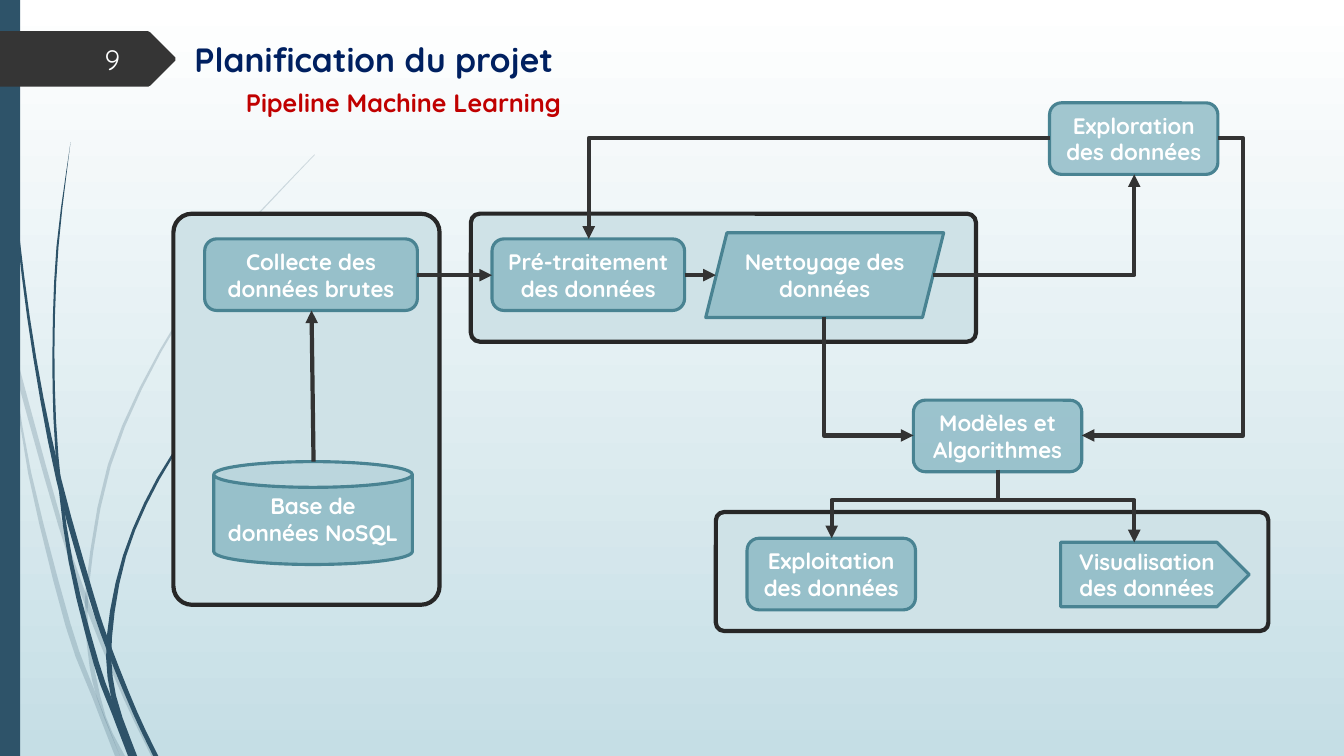
"""Builds the project planning slide with its machine learning pipeline."""
from dataclasses import dataclass

from lxml import etree
from pptx import Presentation
from pptx.dml.color import RGBColor
from pptx.enum import shapes, text
from pptx.oxml.ns import qn
from pptx.util import Inches, Pt


@dataclass(frozen=True)
class Theme:
    """Colours, font and sizes of the slide."""
    font: str = "Quicksand"
    sky: str = "FFFFFF"
    mist: str = "C5DEE5"
    stem: str = "2E5369"
    tag: str = "353535"
    group: str = "CFE2E7"
    group_edge: str = "272727"
    step: str = "86B6C2"
    step_edge: str = "498392"
    arrow: str = "333333"
    title: str = "002060"
    subtitle: str = "C00000"
    light: str = "FFFFFF"
    number: str = "FEFFFF"
    title_size: int = 24
    number_size: int = 20
    subtitle_size: int = 18
    step_size: int = 16
    heavy: float = 3
    thin: float = 2.25


THEME = Theme()
CURVE_STEPS = 3
ROUNDED = shapes.MSO_SHAPE.ROUNDED_RECTANGLE

PALE_STEMS = (
    (((0, 2.99), (0.1, 3.44), (0.17, 3.76), (0.58, 5.22), (0.88, 6.1), (1.23, 6.94), (1.5, 7.5)),
     ((0, 2.82), (0.09, 3.22), (0.14, 3.45), (0.62, 5.2), (0.92, 6.07), (1.27, 6.92), (1.55, 7.5))),
    (((0.11, 3.5), (0.28, 4.7), (0.65, 6.21), (0.92, 6.93), (1.14, 7.5)),
     ((0.11, 3.5), (0.31, 4.69), (0.7, 6.19), (0.93, 6.83), (1.19, 7.5))),
    (((3.12, 1.53), (2.28, 2.44), (1.58, 3.48), (1.07, 4.61), (0.85, 5.84), (0.87, 6.46), (0.96, 6.92), (1.19, 7.5)),
     ((3.12, 1.54), (2.29, 2.45), (1.6, 3.49), (1.1, 4.62), (0.88, 5.84), (0.91, 6.46), (1.05, 7.11), (1.24, 7.5))),
)
DARK_STEMS = (
    (((0.03, 0), (0.07, 1.1), (0.17, 2.33), (0.33, 3.55), (0.56, 4.77), (0.88, 5.92), (1.06, 6.45), (1.32, 7.08),
      (1.52, 7.5)),
     ((0.04, 0), (0.08, 1.09), (0.19, 2.32), (0.36, 3.55), (0.6, 4.72), (0.93, 5.9), (1.1, 6.41), (1.36, 7.06),
      (1.57, 7.5))),
    (((0.7, 1.41), (0.56, 2.45), (0.52, 3.49), (0.55, 4.49), (0.68, 5.57), (0.93, 6.59), (1.11, 7.08), (1.27, 7.5)),
     ((0.7, 1.41), (0.58, 2.45), (0.54, 3.49), (0.58, 4.53), (0.72, 5.56), (0.98, 6.57), (1.16, 7.06), (1.33, 7.5))),
    (((2.6, 3.44), (2.04, 4.05), (1.56, 4.74), (1.22, 5.51), (1.06, 6.31), (1.1, 6.91), (1.31, 7.5)),
     ((2.61, 3.44), (2.05, 4.06), (1.58, 4.76), (1.25, 5.52), (1.11, 6.33), (1.15, 6.9), (1.36, 7.5))),
)
GROUPS = ((7.1, 5.08, 5.48, 1.18), (1.72, 2.12, 2.64, 3.88), (4.67, 2.12, 5.01, 1.27))
STEPS = (
    ("Base de données NoSQL", shapes.MSO_SHAPE.CAN, (2.12, 4.58, 1.97, 1.02)),
    ("Collecte des données brutes", ROUNDED, (2.03, 2.37, 2.11, 0.71)),
    ("Pré-traitement des données", ROUNDED, (4.88, 2.37, 1.91, 0.71)),
    ("Nettoyage des données", shapes.MSO_SHAPE.PARALLELOGRAM, (7, 2.31, 2.36, 0.84)),
    ("Exploration des données", ROUNDED, (10.41, 1.02, 1.67, 0.71)),
    ("Exploitation des données", ROUNDED, (7.41, 5.34, 1.67, 0.71)),
    ("Modèles et Algorithmes", ROUNDED, (9.06, 3.97, 1.67, 0.71)),
    ("Visualisation des données", shapes.MSO_SHAPE.PENTAGON, (10.52, 5.38, 1.87, 0.64)),
)
STRAIGHT_ARROWS = ((3.11, 4.58, 3.09, 3.08), (4.14, 2.73, 4.88, 2.73), (6.79, 2.73, 7.1, 2.73))
CORNER_ARROWS = ((9.25, 2.73, 11.25, 1.73), (10.41, 1.37, 5.84, 2.37),
                 (9.92, 4.96, 8.25, 5.34), (9.92, 4.96, 11.25, 5.38))


def paint(shape, fill, opacity=100, edge=None, width=0):
    """Set the fill, its opacity and the outline of a shape."""
    shape.shadow.inherit = False
    shape.fill.solid()
    shape.fill.fore_color.rgb = RGBColor.from_string(fill)
    if opacity < 100:
        colour = shape._element.spPr.find(qn("a:solidFill"))[0]
        etree.SubElement(colour, qn("a:alpha"), val=str(opacity * 1000))
    if edge:
        shape.line.color.rgb = RGBColor.from_string(edge)
        shape.line.width = Pt(width)
    else:
        shape.line.fill.background()


def write(shape, words, size, colour, bold=True, align=text.PP_ALIGN.LEFT, anchor=text.MSO_ANCHOR.MIDDLE):
    """Put one styled paragraph into a shape."""
    frame = shape.text_frame
    frame.word_wrap = True
    frame.vertical_anchor = anchor
    paragraph = frame.paragraphs[0]
    paragraph.text = words
    paragraph.alignment = align
    font = paragraph.font
    font.name, font.size, font.bold = THEME.font, Pt(size), bold
    font.color.rgb = RGBColor.from_string(colour)


def add_label(slide, words, box, size, colour, **style):
    """Add a text box."""
    write(slide.shapes.add_textbox(*map(Inches, box)), words, size, colour, **style)


def add_preset(slide, kind, box, *style):
    """Add a painted preset shape."""
    shape = slide.shapes.add_shape(kind, *map(Inches, box))
    paint(shape, *style)
    return shape


def add_outline(slide, points, fill, opacity=100):
    """Add a closed outline through points in inches."""
    corners = [(Inches(x), Inches(y)) for x, y in points]
    builder = slide.shapes.build_freeform(*corners[0], scale=1)
    builder.add_line_segments(corners[1:])
    paint(builder.convert_to_shape(), fill, opacity)


def smooth(knots):
    """Return points on a soft curve through the knots."""
    padded = (knots[0], *knots, knots[-1])
    points = [knots[0]]
    for first in range(len(knots) - 1):
        for step in range(1, CURVE_STEPS + 1):
            t = step / CURVE_STEPS
            weights = (-t + 2 * t ** 2 - t ** 3, 2 - 5 * t ** 2 + 3 * t ** 3,
                       t + 4 * t ** 2 - 3 * t ** 3, t ** 3 - t ** 2)
            span = padded[first:first + 4]
            points.append(tuple(sum(w * knot[axis] for w, knot in zip(weights, span)) / 2 for axis in (0, 1)))
    return points


def add_link(slide, ends, preset="line", bend=None, head=True):
    """Add a connector, with an optional bend ratio and arrowhead."""
    connector = slide.shapes.add_connector(shapes.MSO_CONNECTOR.STRAIGHT, *map(Inches, ends))
    connector.line.color.rgb = RGBColor.from_string(THEME.arrow)
    connector.line.width = Pt(THEME.heavy)
    properties = connector._element.spPr
    geometry = properties.find(qn("a:prstGeom"))
    geometry.set("prst", preset)
    if bend is not None:
        guides = geometry.find(qn("a:avLst"))
        etree.SubElement(guides, qn("a:gd"), name="adj1", fmla=f"val {round(bend * 100000)}")
    if head:
        etree.SubElement(properties.find(qn("a:ln")), qn("a:tailEnd"), type="triangle")
    etree.SubElement(properties, qn("a:effectLst"))
    return connector


def add_down_right_link(slide, left, top, right, bottom):
    """Add an arrow that goes down and then right, as a turned corner."""
    x, y = (left + right) / 2, (top + bottom) / 2
    half_run, half_drop = (right - left) / 2, (bottom - top) / 2
    ends = (x + half_drop, y - half_run, x - half_drop, y + half_run)
    connector = add_link(slide, ends, "bentConnector2")
    connector._element.spPr.find(qn("a:xfrm")).set("rot", str(270 * 60000))


def add_backdrop(slide):
    """Add the gradient, the stems, the side bar and the number tag."""
    fill = slide.background.fill
    fill.gradient()
    fill.gradient_angle = 270
    for stop, colour in zip(fill.gradient_stops, (THEME.sky, THEME.mist)):
        stop.color.rgb = RGBColor.from_string(colour)
    for stems, opacity in ((PALE_STEMS, 20), (DARK_STEMS, 100)):
        for outer, inner in stems:
            add_outline(slide, smooth(outer) + smooth(inner)[::-1], THEME.stem, opacity)
    add_preset(slide, shapes.MSO_SHAPE.RECTANGLE, (0, 0, 0.2, 7.5), THEME.stem)
    add_outline(slide, ((0, 0.31), (1.47, 0.31), (1.49, 0.32), (1.74, 0.57), (1.74, 0.6),
                        (1.49, 0.85), (1.47, 0.86), (0, 0.86)), THEME.tag)


def main():
    """Build and save the slide."""
    presentation = Presentation()
    presentation.slide_width, presentation.slide_height = Inches(13.33), Inches(7.5)
    slide = presentation.slides.add_slide(presentation.slide_layouts[6])
    add_backdrop(slide)
    for box in GROUPS:
        group = add_preset(slide, ROUNDED, box, THEME.group, 100, THEME.group_edge, THEME.heavy)
        group.adjustments[0] = 0.07
    top = text.MSO_ANCHOR.TOP
    add_label(slide, "Pipeline Machine Learning", (2.34, 0.82, 3.51, 0.4),
              THEME.subtitle_size, THEME.subtitle, anchor=top)
    add_label(slide, "Planification du projet", (1.83, 0.34, 3.88, 0.5),
              THEME.title_size, THEME.title, anchor=top)
    for words, kind, box in STEPS:
        step = add_preset(slide, kind, box, THEME.step, 76, THEME.step_edge, THEME.thin)
        write(step, words, THEME.step_size, THEME.light, align=text.PP_ALIGN.CENTER)
    for ends in STRAIGHT_ARROWS:
        add_link(slide, ends)
    for ends in CORNER_ARROWS:
        add_link(slide, ends, "bentConnector2")
    add_down_right_link(slide, 8.17, 3.14, 9.06, 4.32)
    add_link(slide, (12.08, 1.37, 10.73, 4.32), "bentConnector3", bend=-0.185)
    add_link(slide, (9.9, 4.66, 9.9, 4.95), head=False)
    add_label(slide, "9", (0.44, 0.31, 0.85, 0.55), THEME.number_size, THEME.number,
              bold=False, align=text.PP_ALIGN.RIGHT)
    presentation.save("out.pptx")


if __name__ == "__main__":
    main()
